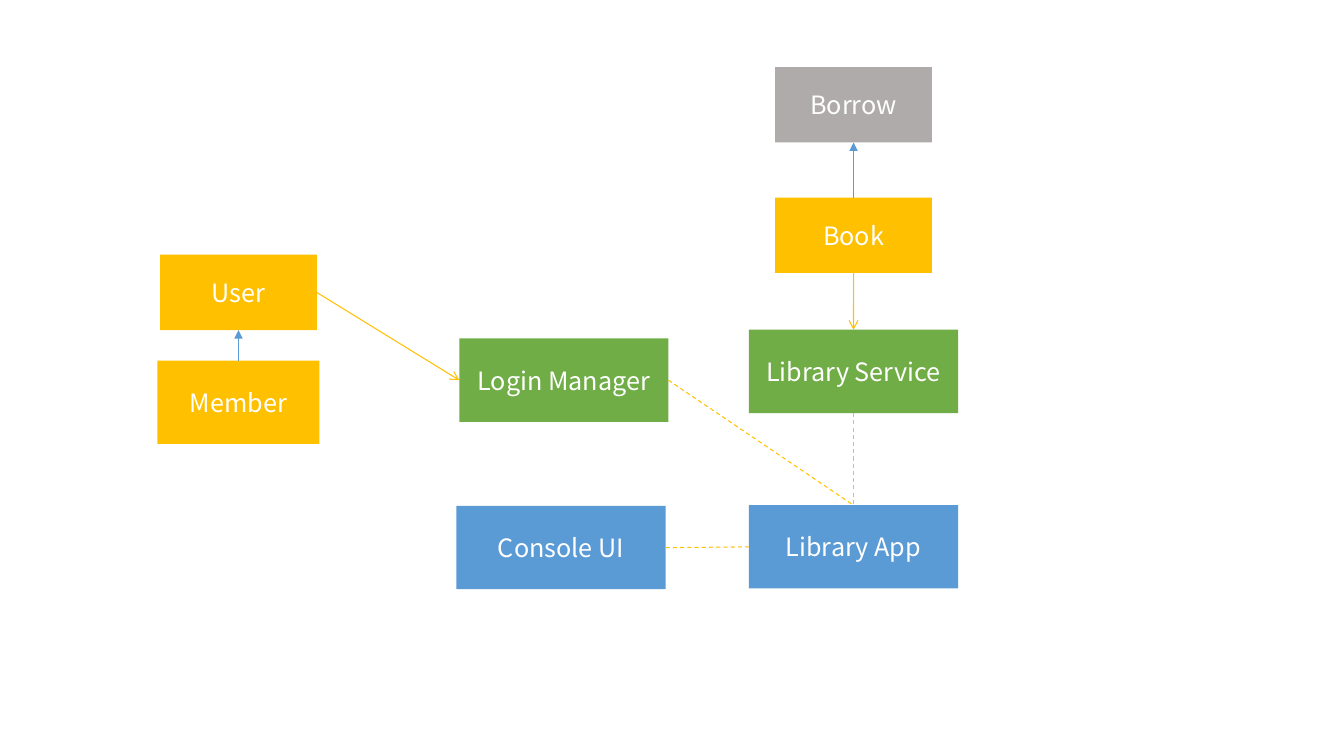
"""Build a slide showing the class structure of a library application."""
import dataclasses

import lxml.etree
import pptx
import pptx.dml.color
import pptx.enum.dml
import pptx.enum.shapes
import pptx.enum.text
import pptx.oxml.ns
import pptx.util

Cm = pptx.util.Cm
TOP, LEFT, BOTTOM, RIGHT = range(4)


@dataclasses.dataclass(frozen=True)
class Theme:
    """Colours, font, type size and line widths of the slide."""
    model: str = "FFC000"
    service: str = "70AD47"
    app: str = "5B9BD5"
    interface: str = "AFABAB"
    text: str = "FFFFFF"
    font: str = "Noto Sans CJK KR"
    size: float = 18
    thin: float = 0.5
    regular: float = 0.75


THEME = Theme()
SMALL, MEDIUM, LARGE = (3.95, 1.9), (4.08, 2.1), (5.27, 2.1)
LEFT_COLUMN, RIGHT_COLUMN = 6.01, 21.51

BOXES = [
    ("User", LEFT_COLUMN, 6.42, SMALL, THEME.model),
    ("Member", LEFT_COLUMN, 9.09, MEDIUM, THEME.model),
    ("Login Manager", 14.21, 8.53, LARGE, THEME.service),
    ("Borrow", RIGHT_COLUMN, 1.69, SMALL, THEME.interface),
    ("Book", RIGHT_COLUMN, 4.98, SMALL, THEME.model),
    ("Library Service", RIGHT_COLUMN, 8.31, LARGE, THEME.service),
    ("Console UI", 14.14, 12.75, LARGE, THEME.app),
    ("Library App", RIGHT_COLUMN, 12.73, LARGE, THEME.app),
]
INHERITANCE = [
    ("Member", TOP, "User", BOTTOM),
    ("Book", TOP, "Borrow", BOTTOM),
]
USAGE = [
    ("User", RIGHT, "Login Manager", LEFT),
    ("Book", BOTTOM, "Library Service", TOP),
]
DEPENDENCY = [
    ("Login Manager", RIGHT, "Library App", TOP),
    ("Library Service", BOTTOM, "Library App", TOP),
    ("Console UI", RIGHT, "Library App", LEFT),
]


def colour(value):
    """Return an RGB colour from its hexadecimal value."""
    return pptx.dml.color.RGBColor.from_string(value)


def add_box(page, label, centre, top, size, fill):
    """Add a filled rectangle with a centred label."""
    width, height = size
    box = page.shapes.add_shape(
        pptx.enum.shapes.MSO_SHAPE.RECTANGLE,
        Cm(centre - width / 2), Cm(top), Cm(width), Cm(height))
    box.shadow.inherit = False
    box.fill.solid()
    box.fill.fore_color.rgb = colour(fill)
    box.line.fill.background()
    box.text_frame.text = label
    box.text_frame.vertical_anchor = pptx.enum.text.MSO_ANCHOR.MIDDLE
    para = box.text_frame.paragraphs[0]
    para.alignment = pptx.enum.text.PP_ALIGN.CENTER
    font = para.runs[0].font
    font.name = THEME.font
    font.size = pptx.util.Pt(THEME.size)
    font.color.rgb = colour(THEME.text)
    return box


def add_link(page, boxes, ends, stroke, width, head=None, dashed=False):
    """Join two boxes by a straight line with an optional arrowhead."""
    source, source_side, target, target_side = ends
    link = page.shapes.add_connector(
        pptx.enum.shapes.MSO_CONNECTOR.STRAIGHT, 0, 0, 0, 0)
    link.begin_connect(boxes[source], source_side)
    link.end_connect(boxes[target], target_side)
    link.line.color.rgb = colour(stroke)
    link.line.width = pptx.util.Pt(width)
    if dashed:
        link.line.dash_style = pptx.enum.dml.MSO_LINE.DASH
    qn = pptx.oxml.ns.qn
    properties = link._element.spPr
    if head:
        outline = properties.find(qn("a:ln"))
        lxml.etree.SubElement(outline, qn("a:tailEnd"), type=head)
    lxml.etree.SubElement(properties, qn("a:effectLst"))


def main():
    """Build the deck and save it."""
    deck = pptx.Presentation()
    deck.slide_width, deck.slide_height = Cm(33.87), Cm(19.05)
    page = deck.slides.add_slide(deck.slide_layouts[6])
    boxes = {entry[0]: add_box(page, *entry) for entry in BOXES}
    for ends in INHERITANCE:
        add_link(page, boxes, ends, THEME.app, THEME.thin, head="triangle")
    for ends in USAGE:
        add_link(page, boxes, ends, THEME.model, THEME.regular, head="arrow")
    for ends in DEPENDENCY:
        add_link(page, boxes, ends, THEME.model, THEME.regular, dashed=True)
    deck.save("out.pptx")


if __name__ == "__main__":
    main()
